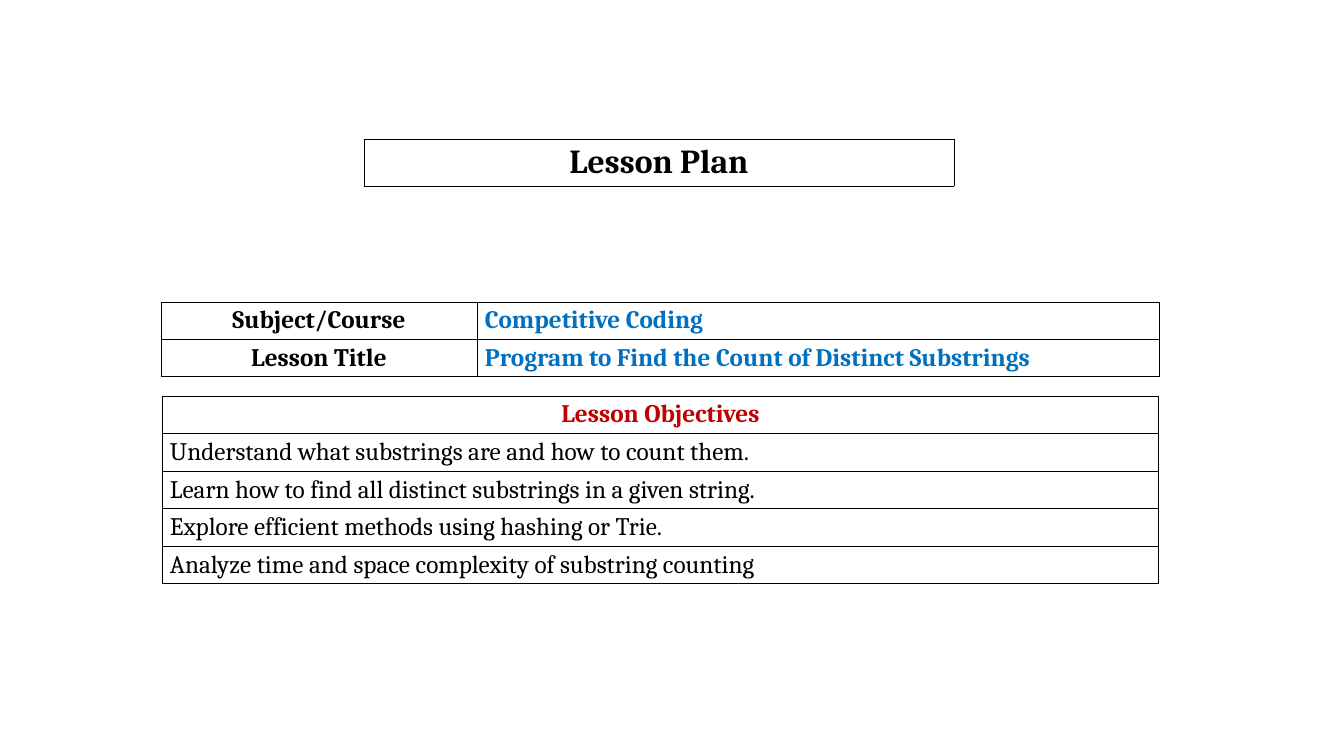
from lxml import etree
from pptx import Presentation
from pptx.dml.color import RGBColor
from pptx.enum.text import MSO_ANCHOR, PP_ALIGN
from pptx.oxml.ns import qn
from pptx.util import Pt

LEFT, CENTER = PP_ALIGN.LEFT, PP_ALIGN.CENTER
MIDDLE = MSO_ANCHOR.MIDDLE
EMU_PER_PX = 914400 / 100.8
FONT = "Cambria"
BLACK, WHITE, BLUE, RED = "000000", "FFFFFF", "0070C0", "C00000"
BORDER_WIDTH = Pt(0.77)

# Cell formats
TITLE = {"size": 24, "bold": True, "color": BLACK, "align": CENTER}
LABEL = {**TITLE, "size": 18}
VALUE = {**LABEL, "color": BLUE, "align": LEFT}
HEADING = {**LABEL, "color": RED}
BODY = {**LABEL, "bold": False, "align": LEFT}

OBJECTIVES = [
    "Understand what substrings are and how to count them.",
    "Learn how to find all distinct substrings in a given string.",
    "Explore efficient methods using hashing or Trie.",
    "Analyze time and space complexity of substring counting",
]


def px(length):
    return round(length * EMU_PER_PX)


def rgb(color):
    return RGBColor.from_string(color)


def add_borders(cell):
    properties = cell._tc.get_or_add_tcPr()
    for position, side in enumerate(("lnL", "lnR", "lnT", "lnB")):
        line = etree.Element(qn(f"a:{side}"), w=str(BORDER_WIDTH))
        fill = etree.SubElement(line, qn("a:solidFill"))
        etree.SubElement(fill, qn("a:srgbClr"), val=BLACK)
        properties.insert(position, line)


def format_cell(cell, text, style):
    margins = {"margin_left": 8, "margin_right": 8, "margin_top": 4, "margin_bottom": 4}
    for name, value in margins.items():
        setattr(cell, name, px(value))
    cell.vertical_anchor = MIDDLE
    cell.fill.solid()
    cell.fill.fore_color.rgb = rgb(WHITE)
    add_borders(cell)

    paragraph = cell.text_frame.paragraphs[0]
    paragraph.alignment = style["align"]
    run = paragraph.add_run()
    run.text = text
    font = {"name": FONT, "size": Pt(style["size"]), "bold": style["bold"]}
    for name, value in font.items():
        setattr(run.font, name, value)
    run.font.color.rgb = rgb(style["color"])


def add_grid(slide, left, top, column_widths, height, rows):
    """Add a bordered table with equal rows; each cell is a (text, style) pair."""
    table = slide.shapes.add_table(
        len(rows), len(column_widths), px(left), px(top),
        px(sum(column_widths)), px(height)).table
    for flag in ("first_row", "horz_banding"):
        setattr(table, flag, False)
    for column, width in zip(table.columns, column_widths):
        column.width = px(width)
    for row, contents in zip(table.rows, rows):
        row.height = px(height / len(rows))
        for cell, (text, style) in zip(row.cells, contents):
            format_cell(cell, text, style)


def main():
    presentation = Presentation()
    presentation.slide_width, presentation.slide_height = px(1344), px(756)
    slide = presentation.slides.add_slide(presentation.slide_layouts[6])

    # Title
    add_grid(slide, 364, 139, [590], 47, [[("Lesson Plan", TITLE)]])

    # Course details
    add_grid(slide, 161, 302, [316, 683], 75, [
        [("Subject/Course", LABEL), ("Competitive Coding", VALUE)],
        [("Lesson Title", LABEL),
         ("Program to Find the Count of Distinct Substrings", VALUE)],
    ])

    # Objectives
    objective_rows = [[(text, BODY)] for text in OBJECTIVES]
    add_grid(slide, 162, 396, [997], 188,
             [[("Lesson Objectives", HEADING)]] + objective_rows)

    presentation.save("out.pptx")


if __name__ == "__main__":
    main()
